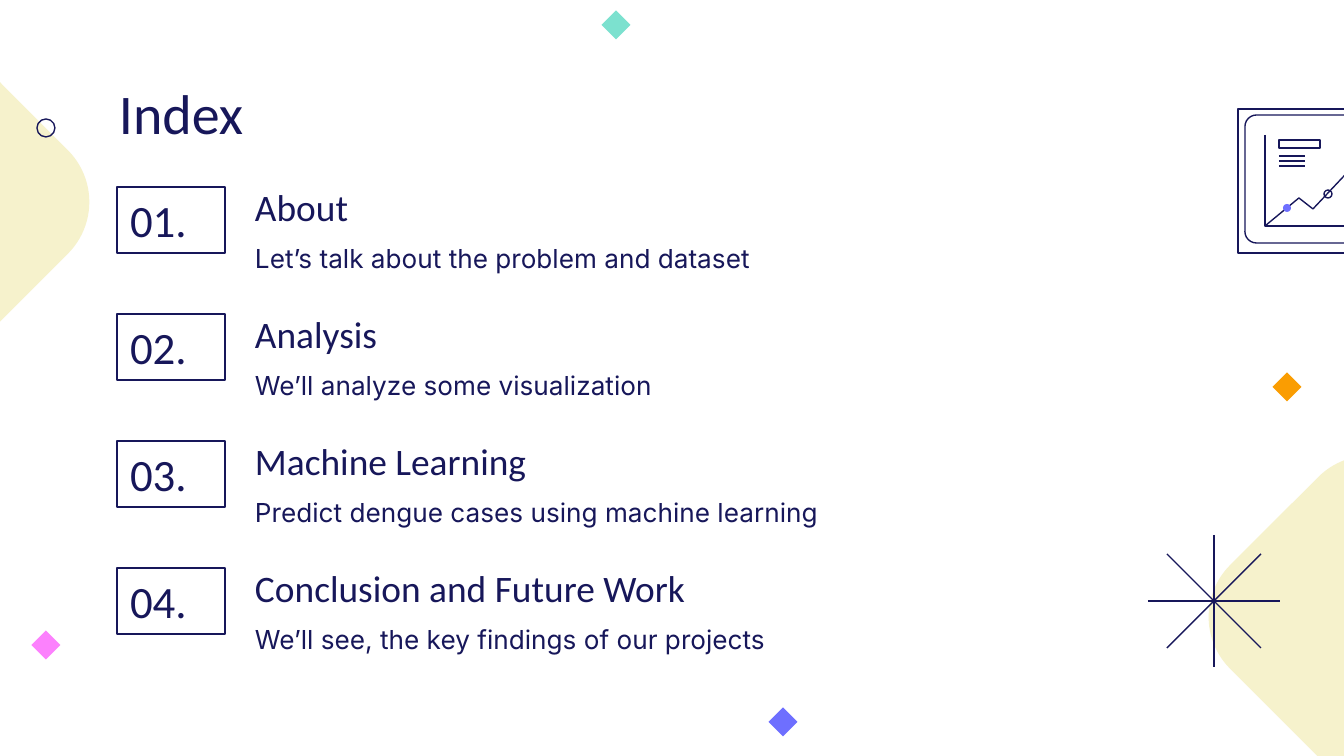
from dataclasses import dataclass

from lxml import etree
from pptx import Presentation
from pptx.dml.color import RGBColor
from pptx.enum.shapes import MSO_CONNECTOR, MSO_SHAPE
from pptx.enum.text import MSO_ANCHOR, PP_ALIGN
from pptx.oxml.ns import qn
from pptx.util import Pt

RECT, DIAMOND, OVAL = MSO_SHAPE.RECTANGLE, MSO_SHAPE.DIAMOND, MSO_SHAPE.OVAL
ROUNDED, ROUND_TOP = MSO_SHAPE.ROUNDED_RECTANGLE, MSO_SHAPE.ROUND_2_SAME_RECTANGLE
STRAIGHT = MSO_CONNECTOR.STRAIGHT
TOP, MIDDLE, BOTTOM = MSO_ANCHOR.TOP, MSO_ANCHOR.MIDDLE, MSO_ANCHOR.BOTTOM
LEFT = PP_ALIGN.LEFT


@dataclass(frozen=True)
class Theme:
    navy: str = "17175A"
    cream: str = "F6F2CC"
    pink: str = "FC81FD"
    violet: str = "6E6FFF"
    orange: str = "FA9D02"
    mint: str = "7CE1CF"
    heading_font: str = "Calibri"
    body_font: str = "Inter"
    title_size: int = 30
    number_size: int = 24
    heading_size: int = 20
    body_size: int = 14
    line_width: float = 0.75


THEME = Theme()
SLIDE_W, SLIDE_H = 1344, 756
SCALE = 9144000 / SLIDE_W

TITLE = "Index"
TOPICS = [
    ("About", "Let’s talk about the problem and dataset"),
    ("Analysis", "We’ll analyze some visualization"),
    ("Machine Learning", "Predict dengue cases using machine learning"),
    ("Conclusion and Future Work", "We’ll see, the key findings of our projects"),
]
TOPIC_TOP, TOPIC_PITCH = 176, 127
TEXT_LEFT, TEXT_W = 242, 914

BLOB_SIDE, BLOB_ROUNDING = 271, 0.27
BLOB_CENTERS = [(-72, 202), (1370, 617)]
SPARKLES = [
    (46, 645, THEME.pink),
    (783, 722, THEME.violet),
    (1287, 387, THEME.orange),
    (616, 25, THEME.mint),
]
SPARKLE_SIDE = 29
STAR_CENTER = (1214, 601)
STAR_RAYS = [(0, 66), (66, 0), (47, 47), (47, -47)]

ICON_FRAME = (1238, 109, 187, 144)
ICON_SCREEN = (1245, 115, 180, 128)
ICON_LABEL = (1279, 140, 41, 8)
ICON_AXES = [(1265, 135), (1265, 226), (1414, 226)]
ICON_TREND = [(1265, 226), (1299, 198), (1313, 209), (1360, 159), (1379, 184), (1414, 151)]
ICON_TEXT_LINES = [156, 161, 166]


def px(value):
    return round(value * SCALE)


def color(code):
    return RGBColor.from_string(code)


def paint(part, fill=None, line=None):
    part.shadow.inherit = False
    if fill:
        part.fill.solid()
        part.fill.fore_color.rgb = color(fill)
    else:
        part.fill.background()
    if line:
        part.line.color.rgb = color(line)
        part.line.width = Pt(THEME.line_width)
    else:
        part.line.fill.background()
    return part


def add_part(slide, kind, box, fill=None, line=None):
    return paint(slide.shapes.add_shape(kind, *map(px, box)), fill, line)


def add_centered(slide, kind, center, side, fill=None, line=None):
    x, y = center
    return add_part(slide, kind, (x - side / 2, y - side / 2, side, side), fill, line)


def add_line(slide, start, end):
    stroke = slide.shapes.add_connector(STRAIGHT, *map(px, (*start, *end)))
    stroke.line.color.rgb = color(THEME.navy)
    stroke.line.width = Pt(THEME.line_width)
    etree.SubElement(stroke._element.spPr, qn("a:effectLst"))


def add_polyline(slide, points):
    builder = slide.shapes.build_freeform(*points[0], scale=SCALE)
    builder.add_line_segments(points[1:], close=False)
    paint(builder.convert_to_shape(), line=THEME.navy)


def write(holder, text, size, font, anchor=TOP, spacing=1.0):
    frame = holder.text_frame
    frame_format = {"word_wrap": True, "vertical_anchor": anchor}
    for side in ("left", "top", "right", "bottom"):
        frame_format[f"margin_{side}"] = px(13)
    paragraph = frame.paragraphs[0]
    run = paragraph.add_run()
    run.text = text
    formats = [
        (frame, frame_format),
        (paragraph, {"alignment": LEFT, "line_spacing": spacing}),
        (run.font, {"size": Pt(size), "name": font}),
    ]
    for target, values in formats:
        for name, value in values.items():
            setattr(target, name, value)
    run.font.color.rgb = color(THEME.navy)


def add_text(slide, box, *style):
    write(slide.shapes.add_textbox(*map(px, box)), *style)


def add_decor(slide):
    for center in BLOB_CENTERS:
        blob = add_centered(slide, ROUNDED, center, BLOB_SIDE, THEME.cream)
        blob.adjustments[0] = BLOB_ROUNDING
        blob.rotation = 45
    x, y = STAR_CENTER
    for dx, dy in STAR_RAYS:
        add_line(slide, (x - dx, y - dy), (x + dx, y + dy))
    for x, y, fill in SPARKLES:
        add_centered(slide, DIAMOND, (x, y), SPARKLE_SIDE, fill)
    add_centered(slide, OVAL, (46, 128), 18, line=THEME.navy)


def add_topics(slide):
    for index, (heading, description) in enumerate(TOPICS):
        top = TOPIC_TOP + index * TOPIC_PITCH
        number = add_part(slide, RECT, (117, top + 11, 108, 66), line=THEME.navy)
        write(number, f"{index + 1:02}.", THEME.number_size, THEME.heading_font, MIDDLE)
        add_text(slide, (TEXT_LEFT, top, TEXT_W, 66), heading,
                 THEME.heading_size, THEME.heading_font, BOTTOM, 1.15)
        add_text(slide, (TEXT_LEFT, top + 49, TEXT_W, 59), description,
                 THEME.body_size, THEME.body_font, TOP, 1.15)


def add_chart_icon(slide):
    add_part(slide, RECT, ICON_FRAME, line=THEME.navy)
    left, top, width, height = ICON_SCREEN
    turn = (width - height) / 2
    screen = add_part(slide, ROUND_TOP, (left + turn, top - turn, height, width), line=THEME.navy)
    screen.adjustments[0] = 0.09
    screen.rotation = 270
    for points in (ICON_AXES, ICON_TREND):
        add_polyline(slide, points)
    add_centered(slide, OVAL, (1287, 208), 8, THEME.violet)
    add_centered(slide, OVAL, (1328, 194), 8, line=THEME.navy)
    add_part(slide, RECT, ICON_LABEL, line=THEME.navy)
    for y in ICON_TEXT_LINES:
        add_line(slide, (1279, y), (1305, y))


def main():
    deck = Presentation()
    deck.slide_width, deck.slide_height = px(SLIDE_W), px(SLIDE_H)
    slide = deck.slides.add_slide(deck.slide_layouts[6])
    add_decor(slide)
    add_text(slide, (106, 66, 1133, 85), TITLE, THEME.title_size, THEME.heading_font)
    add_topics(slide)
    add_chart_icon(slide)
    deck.save("out.pptx")


if __name__ == "__main__":
    main()
